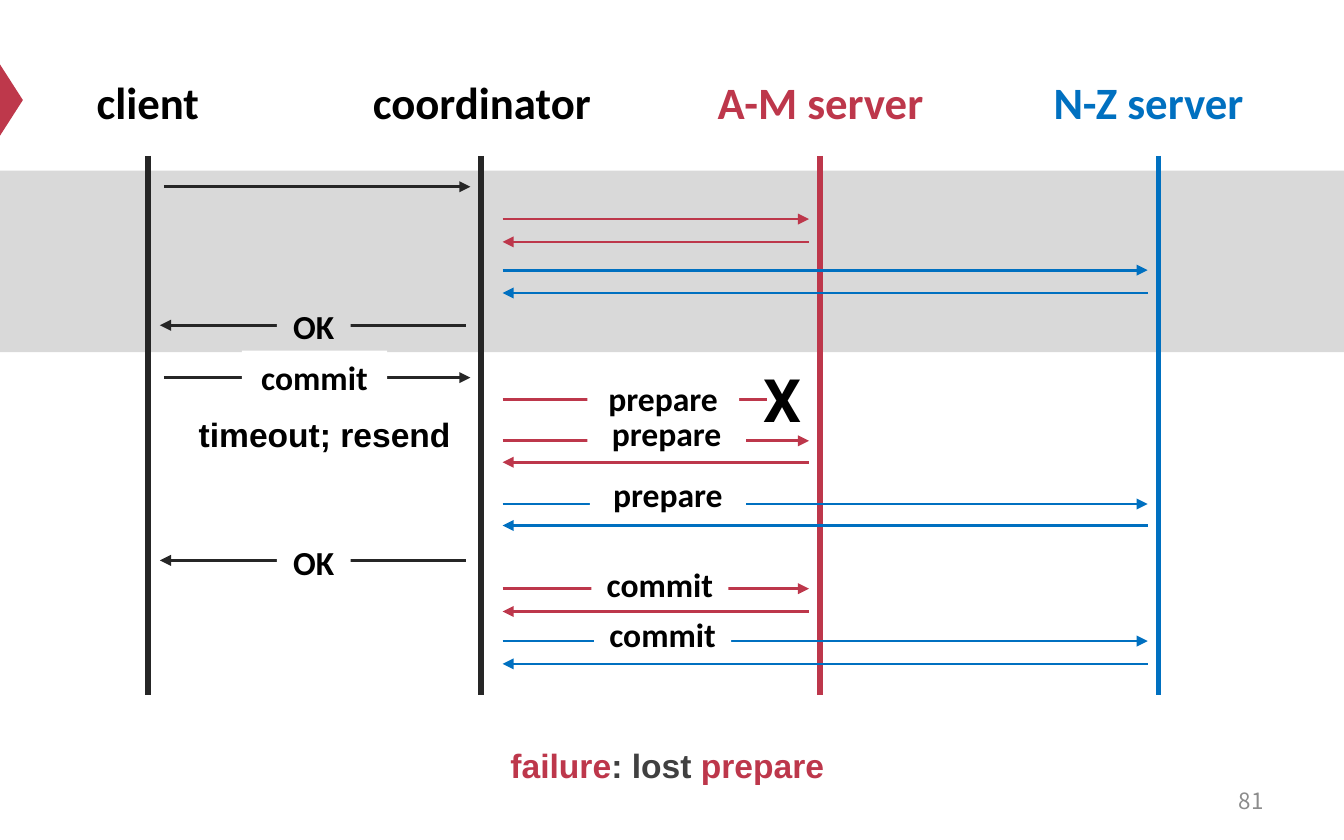
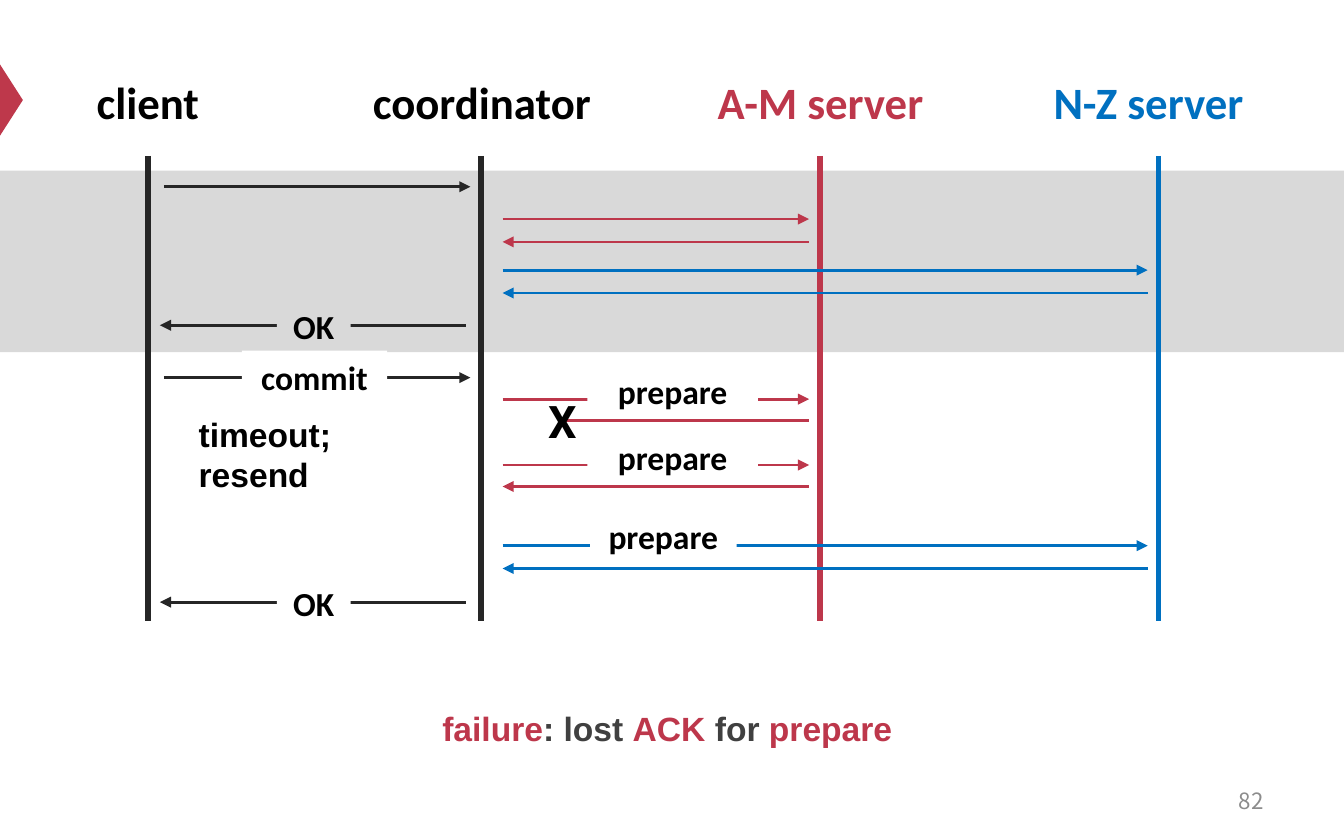
from lxml import etree
from pptx import Presentation
from pptx.dml.color import RGBColor
from pptx.enum.shapes import MSO_CONNECTOR, MSO_SHAPE
from pptx.enum.text import MSO_ANCHOR, MSO_AUTO_SIZE, PP_ALIGN
from pptx.oxml.ns import qn
from pptx.util import Pt

PX = 9144

BLACK = RGBColor(0x00, 0x00, 0x00)
WHITE = RGBColor(0xFF, 0xFF, 0xFF)
INK = RGBColor(0x26, 0x26, 0x26)
GRAY = RGBColor(0x40, 0x40, 0x40)
PALE_GRAY = RGBColor(0x8C, 0x8C, 0x8C)
BAND_GRAY = RGBColor(0xD9, 0xD9, 0xD9)
RED = RGBColor(0xBD, 0x37, 0x4B)
MARKER_RED = RGBColor(0xBE, 0x38, 0x4B)
BLUE = RGBColor(0x00, 0x70, 0xC0)

STRAIGHT = MSO_CONNECTOR.STRAIGHT
RECTANGLE = MSO_SHAPE.RECTANGLE
TRIANGLE = MSO_SHAPE.ISOSCELES_TRIANGLE
LEFT, CENTER, RIGHT = PP_ALIGN.LEFT, PP_ALIGN.CENTER, PP_ALIGN.RIGHT
TOP, MIDDLE = MSO_ANCHOR.TOP, MSO_ANCHOR.MIDDLE
GROW, FIXED = MSO_AUTO_SIZE.SHAPE_TO_FIT_TEXT, MSO_AUTO_SIZE.NONE

FORWARD, BACK = "a:tailEnd", "a:headEnd"

LIFELINE_TOP = 116
PARTICIPANTS = [
    ("client", 110, 51, 118, BLACK, INK),
    ("coordinator", 358, 256, 205, BLACK, INK),
    ("A-M server", 610, 508, 205, RED, RED),
    ("N-Z server", 862, 752, 205, BLUE, BLUE),
]

CLIENT_REQUEST = (122, 350, INK)
CLIENT_REPLY = (119, 347, INK)
AM_SERVER = (374, 602, RED)
NZ_SERVER = (374, 854, BLUE)


def emu(*lengths):
    return [length * PX for length in lengths]


def add_block(slide, kind, box, color):
    block = slide.shapes.add_shape(kind, *emu(*box))
    block.shadow.inherit = False
    block.fill.solid()
    block.fill.fore_color.rgb = color
    block.line.fill.background()
    return block


def add_text(slide, box, runs, size=18, font="Calibri", color=BLACK, bold=True,
             align=LEFT, anchor=TOP, wrap=True, fit=GROW, fill=None,
             line_spacing=None, space_before=None):
    if fill is None:
        holder = slide.shapes.add_textbox(*emu(*box))
    else:
        holder = add_block(slide, RECTANGLE, box, fill)
    frame = holder.text_frame
    frame.word_wrap = wrap
    frame.auto_size = fit
    frame.vertical_anchor = anchor
    paragraph = frame.paragraphs[0]
    paragraph.alignment = align
    paragraph.line_spacing = line_spacing
    paragraph.space_before = space_before
    if isinstance(runs, str):
        runs = [(runs, color)]
    for words, run_color in runs:
        run = paragraph.add_run()
        run.text = words
        run.font.size = Pt(size)
        run.font.name = font
        run.font.bold = bold
        run.font.color.rgb = run_color


def add_line(slide, start, end, color, width=1.5, arrow=None):
    connector = slide.shapes.add_connector(STRAIGHT, *emu(*start, *end))
    connector.line.color.rgb = color
    connector.line.width = Pt(width)
    if arrow:
        outline = connector.line._get_or_add_ln()
        etree.SubElement(outline, qn(arrow), type="triangle")
    etree.SubElement(connector._element.spPr, qn("a:effectLst"))


def add_message(slide, span, y, arrow=FORWARD):
    left, right, color = span
    add_line(slide, (left, y), (right, y), color, arrow=arrow)


def add_label(slide, words, left, top, width, fill=WHITE):
    add_text(slide, (left, top, width, 40), words, align=CENTER, fill=fill)


def add_requests(slide, requests):
    for span, y, words, left, top, width in requests:
        add_message(slide, span, y)
        add_label(slide, words, left, top, width)


def add_replies(slide, replies):
    for span, y in replies:
        add_message(slide, span, y, BACK)


def add_client_ok(slide, y, fill=WHITE):
    add_message(slide, CLIENT_REPLY, y, BACK)
    add_label(slide, "OK", 206, y - 19, 55, fill)


def add_timeout(slide, width):
    add_text(slide, (138, 303, width, 40), "timeout; resend", font="Arial")


def add_lost_mark(slide, box, size):
    add_text(slide, box, "X", size=size, font="Roboto", wrap=False)


def add_caption(slide, top, runs, line_spacing=None):
    add_text(slide, (50, top, 900, 68), runs, font="Arial", align=CENTER,
             fit=FIXED, line_spacing=line_spacing, space_before=Pt(12))


def start_slide(prs, number, lifeline_bottom):
    slide = prs.slides.add_slide(prs.slide_layouts[6])
    marker = add_block(slide, TRIANGLE, (-18, 66, 53, 17), MARKER_RED)
    marker.rotation = 90
    add_text(slide, (717, 579, 233, 33), str(number), size=12,
             font="Noto Sans CJK SC", color=PALE_GRAY, bold=False,
             align=RIGHT, anchor=MIDDLE, fit=FIXED)
    add_block(slide, RECTANGLE, (0, 127, 1000, 135), BAND_GRAY)
    for title, x, left, width, title_color, line_color in PARTICIPANTS:
        add_text(slide, (left, 51, width, 50), title, size=24,
                 color=title_color, align=CENTER)
        add_line(slide, (x, LIFELINE_TOP), (x, lifeline_bottom), line_color, 3)
    add_message(slide, CLIENT_REQUEST, 139)
    for server, y in ((AM_SERVER, 163), (NZ_SERVER, 201)):
        add_message(slide, server, y)
        add_message(slide, server, y + 17, BACK)
    add_client_ok(slide, 242, BAND_GRAY)
    add_requests(slide, [(CLIENT_REQUEST, 281, "commit", 180, 261, 108)])
    return slide


def build_lost_prepare(prs):
    slide = start_slide(prs, 81, 517)
    add_requests(slide, [
        (AM_SERVER, 328, "prepare", 437, 302, 118),
        (NZ_SERVER, 375, "prepare", 439, 348, 116),
        (AM_SERVER, 438, "commit", 440, 415, 102),
        (NZ_SERVER, 477, "commit", 442, 452, 102),
    ])
    add_line(slide, (374, 297), (571, 297), RED)
    add_label(slide, "prepare", 437, 276, 113)
    add_lost_mark(slide, (558, 265, 63, 64), 32)
    add_replies(slide, [(AM_SERVER, 344), (NZ_SERVER, 391),
                        (AM_SERVER, 455), (NZ_SERVER, 494)])
    add_client_ok(slide, 417)
    add_timeout(slide, 209)
    add_caption(slide, 543, [("failure", RED), (": lost ", GRAY),
                             ("prepare ", RED)], line_spacing=1.2)


def build_lost_ack(prs):
    slide = start_slide(prs, 82, 462)
    add_requests(slide, [
        (AM_SERVER, 297, "prepare", 437, 271, 127),
        (AM_SERVER, 346, "prepare", 437, 320, 127),
        (NZ_SERVER, 406, "prepare", 439, 379, 109),
    ])
    add_line(slide, (421, 313), (602, 313), RED)
    add_lost_mark(slide, (398, 288, 52, 50), 24)
    add_replies(slide, [(AM_SERVER, 362), (NZ_SERVER, 423)])
    add_client_ok(slide, 448)
    add_timeout(slide, 190)
    add_caption(slide, 522, [("failure", RED), (": lost ", GRAY), ("ACK ", RED),
                             ("for ", GRAY), ("prepare ", RED)])


def main():
    prs = Presentation()
    prs.slide_width, prs.slide_height = emu(1000, 625)
    build_lost_prepare(prs)
    build_lost_ack(prs)
    prs.save("out.pptx")


if __name__ == "__main__":
    main()
